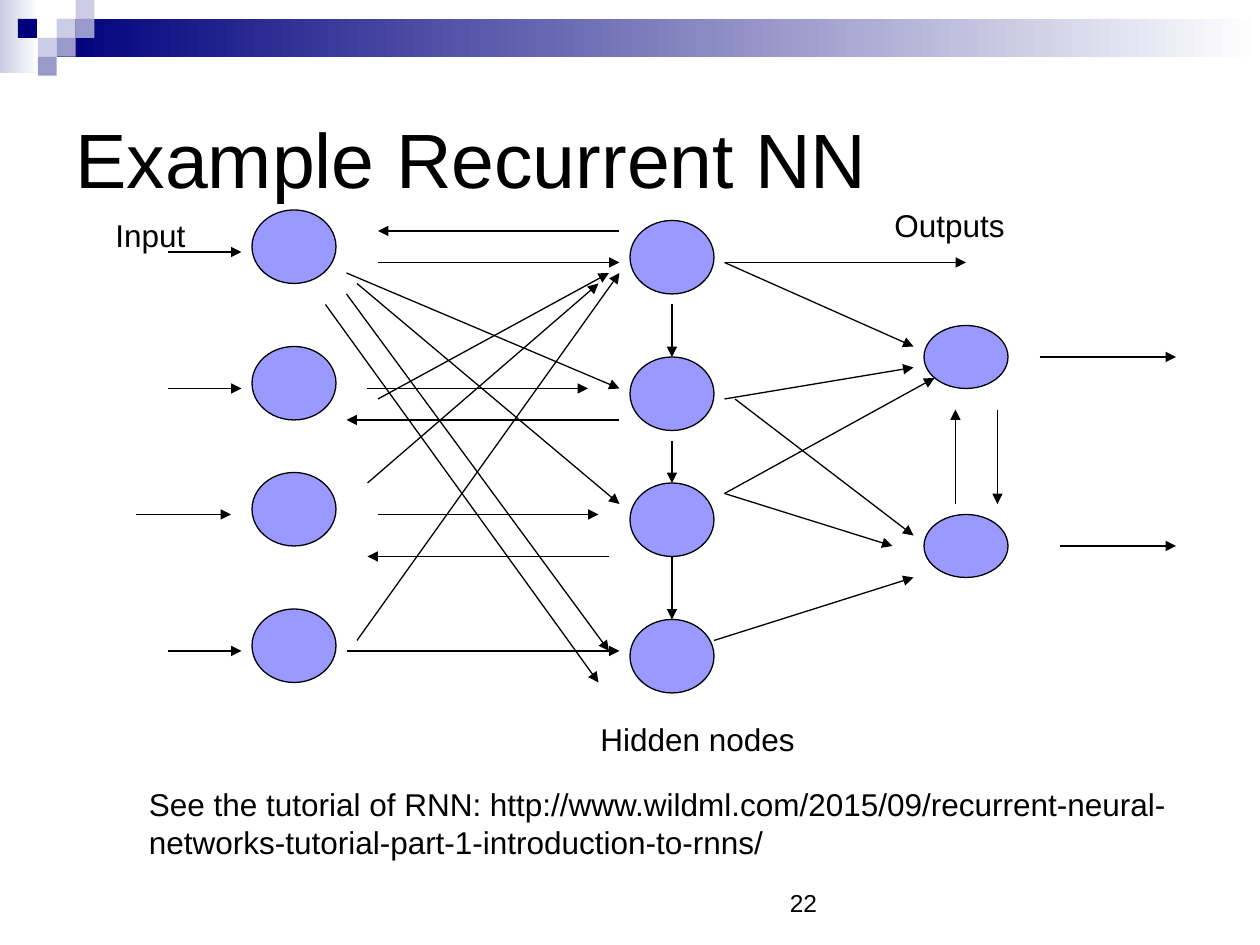
from pptx import Presentation
from pptx.dml.color import RGBColor
from pptx.enum.shapes import MSO_CONNECTOR as CONN, MSO_SHAPE as SHAPE
from pptx.enum.text import MSO_ANCHOR as ANCHOR, PP_ALIGN as ALIGN
from pptx.oxml import parse_xml
from pptx.oxml.ns import nsdecls
from pptx.util import Inches, Pt

UNIT = Inches(1) / 12  # diagram grid
TILE = Inches(0.15)    # banner grid


def rgb(color):
    return RGBColor.from_string(color)


def add_filled(kind, box, unit, *colors):
    """Add a shape filled with one colour, or with a left-to-right gradient of two."""
    sp = s.shapes.add_shape(kind, *(int(v * unit) for v in box))
    sp.shadow.inherit = False
    sp.line.fill.background()
    if len(colors) == 1:
        sp.fill.solid()
        sp.fill.fore_color.rgb = rgb(colors[0])
    else:
        sp.fill.gradient()
        sp.fill.gradient_angle = 0
        for stop, position, color in zip(sp.fill.gradient_stops, (0, 1), colors):
            stop.position = position
            stop.color.rgb = rgb(color)
    return sp


prs = Presentation()
prs.slide_width, prs.slide_height = Inches(10), Inches(7.5)
s = prs.slides.add_slide(prs.slide_layouts[6])

# Banner: two gradient bars and a checker of tiles
add_filled(SHAPE.RECTANGLE, (0, 0, 0.31, 0.58), Inches(1), "CCCCE6", "FFFFFF")
add_filled(SHAPE.RECTANGLE, (0.45, 0.15, 9.55, 0.3), Inches(1), "00007D", "FFFFFF")
tiles = {
    "CCCCE6": [(3, 1), (4, 0), (2, 2)],
    "9999CC": [(4, 1), (3, 2), (2, 3)],
    "00007D": [(0.95, 1)],
}
for color, cells in tiles.items():
    for col, row in cells:
        add_filled(SHAPE.RECTANGLE, (col, row, 1, 1), TILE, color)

# Nodes by layer: left, height, tops
layers = [
    (24, 7, (20, 33, 45, 58)),
    (60, 7, (21, 34, 46, 59)),
    (88, 6, (31, 49)),
]
for left, height, tops in layers:
    for top in tops:
        sp = add_filled(SHAPE.OVAL, (left, top, 8, height), UNIT, "9999FF")
        sp.line.color.rgb = rgb("000000")
        sp.line.width = Pt(0.75)

# Arrows: x and y of the start, x and y of the end
arrows = [
    # into the inputs
    (16, 24, 23, 24), (16, 37, 23, 37), (13, 49, 22, 49), (16, 62, 23, 62),
    # inputs to hidden
    (36, 25, 59, 25), (36, 38, 58, 26), (35, 46, 57, 27), (34, 61, 59, 26),
    (33, 26, 59, 37), (34, 27, 59, 48), (33, 28, 58, 62), (31, 29, 57, 65),
    (35, 37, 56, 37), (36, 49, 57, 49), (33, 62, 59, 62),
    # hidden back to inputs
    (59, 22, 36, 22), (59, 40, 33, 40), (58, 53, 35, 53),
    # hidden to hidden
    (64, 29, 64, 34), (64, 42, 64, 46), (64, 53, 64, 59),
    # hidden to outputs
    (69, 25, 92, 25), (69, 25, 87, 33), (69, 38, 87, 35), (70, 38, 87, 51),
    (69, 47, 89, 36), (69, 47, 85, 52), (68, 61, 87, 55),
    # between and out of the outputs
    (95, 39, 95, 48), (91, 48, 91, 39), (99, 34, 112, 34), (101, 52, 112, 52),
]
for ends in arrows:
    line = s.shapes.add_connector(CONN.STRAIGHT, *(int(v * UNIT) for v in ends))
    line.line.color.rgb = rgb("000000")
    line.line.width = Pt(0.75)
    line.line._get_or_add_ln().append(
        parse_xml(f'<a:tailEnd {nsdecls("a")} type="triangle"/>'))
    line._element.spPr.append(parse_xml(f'<a:effectLst {nsdecls("a")}/>'))

# Text: wording, box in grid units, size, anchor, alignment
texts = [
    ("Example Recurrent NN", (6, 6, 108, 18), 44, ANCHOR.MIDDLE, ALIGN.LEFT),
    ("Input", (9.8, 20, 20, 4.8), 18, ANCHOR.TOP, ALIGN.LEFT),
    ("Outputs", (84, 19, 21, 4.8), 18, ANCHOR.TOP, ALIGN.LEFT),
    ("Hidden nodes", (56, 68, 21, 4.8), 18, ANCHOR.TOP, ALIGN.LEFT),
    ("See the tutorial of RNN: http://www.wildml.com/2015/09/"
     "recurrent-neural-networks-tutorial-part-1-introduction-to-rnns/",
     (13, 74.2, 103.7, 8.5), 18, ANCHOR.TOP, ALIGN.LEFT),
    ("22", (41, 82, 38, 6), 14, ANCHOR.BOTTOM, ALIGN.RIGHT),
]
for text, box, size, anchor, align in texts:
    tf = s.shapes.add_textbox(*(int(v * UNIT) for v in box)).text_frame
    tf.word_wrap = True
    tf.vertical_anchor = anchor
    p = tf.paragraphs[0]
    p.alignment = align
    r = p.add_run()
    r.text = text
    for name, value in {"name": "Arial", "size": Pt(size)}.items():
        setattr(r.font, name, value)
    r.font.color.rgb = rgb("000000")

prs.save("out.pptx")
